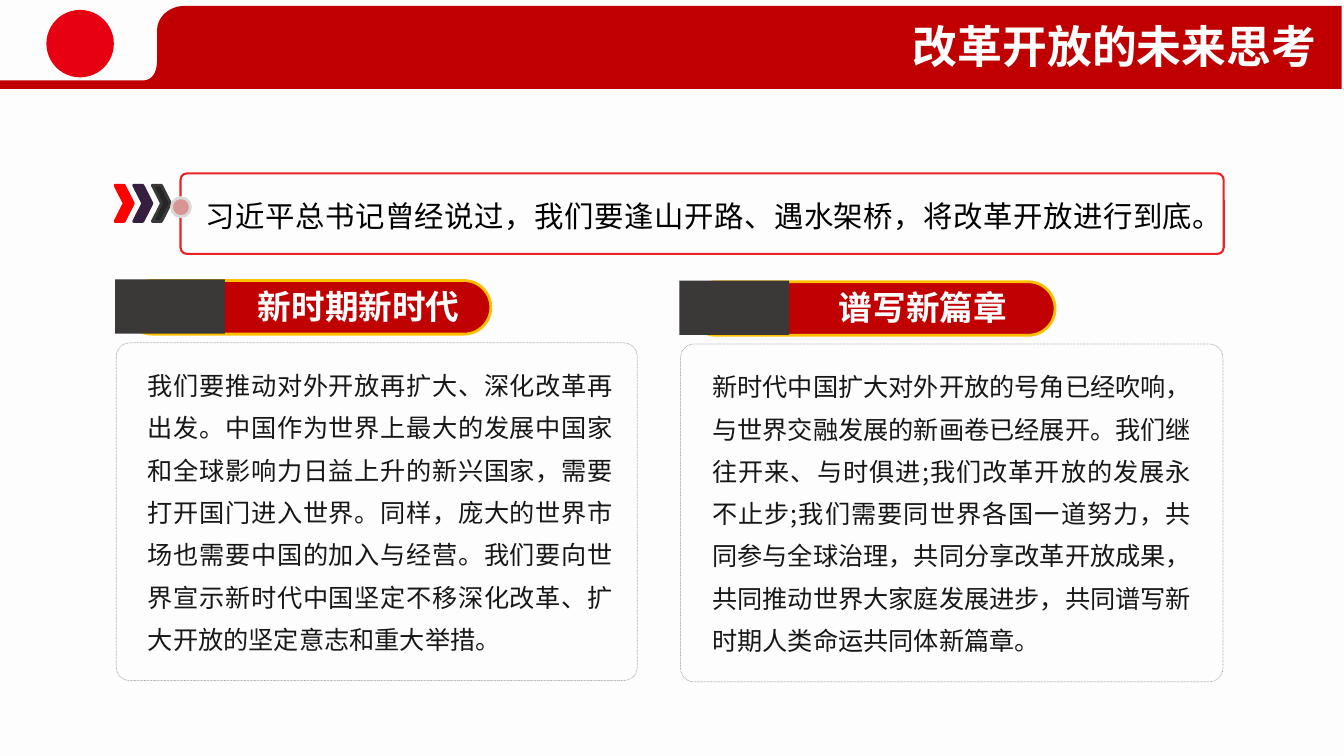
from lxml import etree
from pptx import Presentation
from pptx.dml.color import RGBColor
from pptx.enum import dml, shapes, text
from pptx.oxml.ns import qn
from pptx.util import Cm, Pt

FONT = "Noto Sans CJK SC"
PAPER = RGBColor(0xFD, 0xFD, 0xFD)
WHITE = RGBColor(0xFF, 0xFF, 0xFF)
BLACK = RGBColor(0x00, 0x00, 0x00)
INK = RGBColor(0x18, 0x17, 0x17)
CHARCOAL = RGBColor(0x3B, 0x38, 0x38)
DARK = RGBColor(0x26, 0x26, 0x26)
PLUM = RGBColor(0x35, 0x1E, 0x3E)
RED = RGBColor(0xFF, 0x00, 0x00)
EMBLEM_RED = RGBColor(0xE6, 0x00, 0x12)
BANNER_RED = RGBColor(0xC0, 0x00, 0x00)
PILL_RED = RGBColor(0xC1, 0x00, 0x01)
FRAME_RED = RGBColor(0xE9, 0x23, 0x24)
PINK = RGBColor(0xD9, 0x95, 0x93)
SILVER = RGBColor(0xD8, 0xD8, 0xD8)
GREY = RGBColor(0xA6, 0xA6, 0xA6)
GOLD = RGBColor(0xFF, 0xC0, 0x00)

SHAPE = shapes.MSO_SHAPE
ALIGN = text.PP_ALIGN

prs = Presentation()
prs.slide_width, prs.slide_height = Cm(33.87), Cm(19.05)
slide = prs.slides.add_slide(prs.slide_layouts[6])
slide.background.fill.solid()
slide.background.fill.fore_color.rgb = PAPER


def add_block(kind, box, fill=None, line=None, width=2, corner=None):
    """Add a preset shape; box is left, top, width, height in cm."""
    block = slide.shapes.add_shape(kind, *map(Cm, box))
    block.shadow.inherit = False
    if corner is not None:
        block.adjustments[0] = corner
    for part, colour in ((block.fill, fill), (block.line.fill, line)):
        if colour is None:
            part.background()
        else:
            part.solid()
            part.fore_color.rgb = colour
    if line is not None:
        block.line.width = Pt(width)
    return block


def add_words(words, box, size, colour, align, bold=False, spacing=1.0,
              margins=(0.25, 0.13), wrap=True):
    frame = slide.shapes.add_textbox(*map(Cm, box)).text_frame
    frame.word_wrap = wrap
    frame.margin_left = frame.margin_right = Cm(margins[0])
    frame.margin_top = frame.margin_bottom = Cm(margins[1])
    paragraph = frame.paragraphs[0]
    paragraph.alignment, paragraph.line_spacing = align, spacing
    run = paragraph.add_run()
    run.text = words
    for key, value in {"size": Pt(size), "bold": bold, "name": FONT}.items():
        setattr(run.font, key, value)
    run.font.color.rgb = colour
    etree.SubElement(run.font._element, qn("a:ea"), typeface=FONT)


# Header: a plain disc for the emblem, then the banner with its rounded tab
add_block(SHAPE.OVAL, (1.17, 0.25, 1.7, 1.7), EMBLEM_RED)

curves = [
    [(3.58, 2.03), (3.83, 2.03), (3.96, 1.85), (3.96, 1.5)],
    [(3.96, 0.76), (3.96, 0.43), (4.27, 0.15), (4.65, 0.15)],
]
outline = [(-0.05, 2.03)]
for curve in curves:
    for step in range(13):
        t = step / 12
        weights = ((1 - t) ** 3, 3 * t * (1 - t) ** 2, 3 * t * t * (1 - t), t ** 3)
        outline.append(tuple(sum(w * point[axis] for w, point in zip(weights, curve))
                             for axis in (0, 1)))
outline += [(33.81, 0.15), (33.81, 2.24), (-0.05, 2.24)]
outline = [(Cm(x), Cm(y)) for x, y in outline]
builder = slide.shapes.build_freeform(*outline[0])
builder.add_line_segments(outline[1:], close=True)
banner = builder.convert_to_shape()
banner.shadow.inherit = False
banner.fill.solid()
banner.fill.fore_color.rgb = BANNER_RED
banner.line.fill.background()
add_words("改革开放的未来思考", (12.14, 0.33, 21.29, 1.63), 32, WHITE, ALIGN.RIGHT, bold=True)

# Quotation with its chevrons
for i, (fill, line) in enumerate([(RED, RED), (PLUM, PLUM), (DARK, CHARCOAL)]):
    add_block(SHAPE.CHEVRON, (2.9 + 0.47 * i, 4.67, 0.46, 0.91), fill, line)
add_block(SHAPE.ROUNDED_RECTANGLE, (4.55, 4.37, 26.29, 2.03), None, FRAME_RED, 1.5, 0.08)
add_block(SHAPE.FLOWCHART_CONNECTOR, (4.32, 4.98, 0.48, 0.48), PINK, SILVER)
add_words("习近平总书记曾经说过，我们要逢山开路、遇水架桥，将改革开放进行到底。",
          (4.93, 4.6, 25.4, 1.32), 21, BLACK, ALIGN.JUSTIFY, spacing=1.3)

# Two columns: left, top, card width, text width, heading, body
columns = [
    (2.9, 7.04, 13.13, 12.32, "新时期新时代",
     "我们要推动对外开放再扩大、深化改革再出发。中国作为世界上最大的发展中国家和全球影响力"
     "日益上升的新兴国家，需要打开国门进入世界。同样，庞大的世界市场也需要中国的加入与经营。"
     "我们要向世界宣示新时代中国坚定不移深化改革、扩大开放的坚定意志和重大举措。"),
    (17.12, 7.07, 13.67, 12.67, "谱写新篇章",
     "新时代中国扩大对外开放的号角已经吹响，与世界交融发展的新画卷已经展开。我们继往开来、"
     "与时俱进;我们改革开放的发展永不止步;我们需要同世界各国一道努力，共同参与全球治理，"
     "共同分享改革开放成果，共同推动世界大家庭发展进步，共同谱写新时期人类命运共同体新篇章。"),
]
for left, top, card_width, body_width, heading, body in columns:
    add_block(SHAPE.ROUNDED_RECTANGLE, (left + 0.25, top + 0.03, 9.22, 1.35),
              PILL_RED, GOLD, corner=0.5)
    add_block(SHAPE.RECTANGLE, (left, top, 2.77, 1.37), CHARCOAL)
    add_words(heading, (left + 3.32, top + 0.03, 5.64, 1.27), 24, WHITE, ALIGN.CENTER,
              bold=True, wrap=False)
    card = add_block(SHAPE.ROUNDED_RECTANGLE, (left + 0.03, top + 1.6, card_width, 8.51),
                     None, GREY, 0.5, 0.04)
    card.line.dash_style = dml.MSO_LINE.ROUND_DOT
    add_words(body, (left + 0.53, top + 1.84, body_width, 7.75), 18, INK, ALIGN.JUSTIFY,
              spacing=1.4, margins=(0.3, 0.15))

prs.save("out.pptx")
